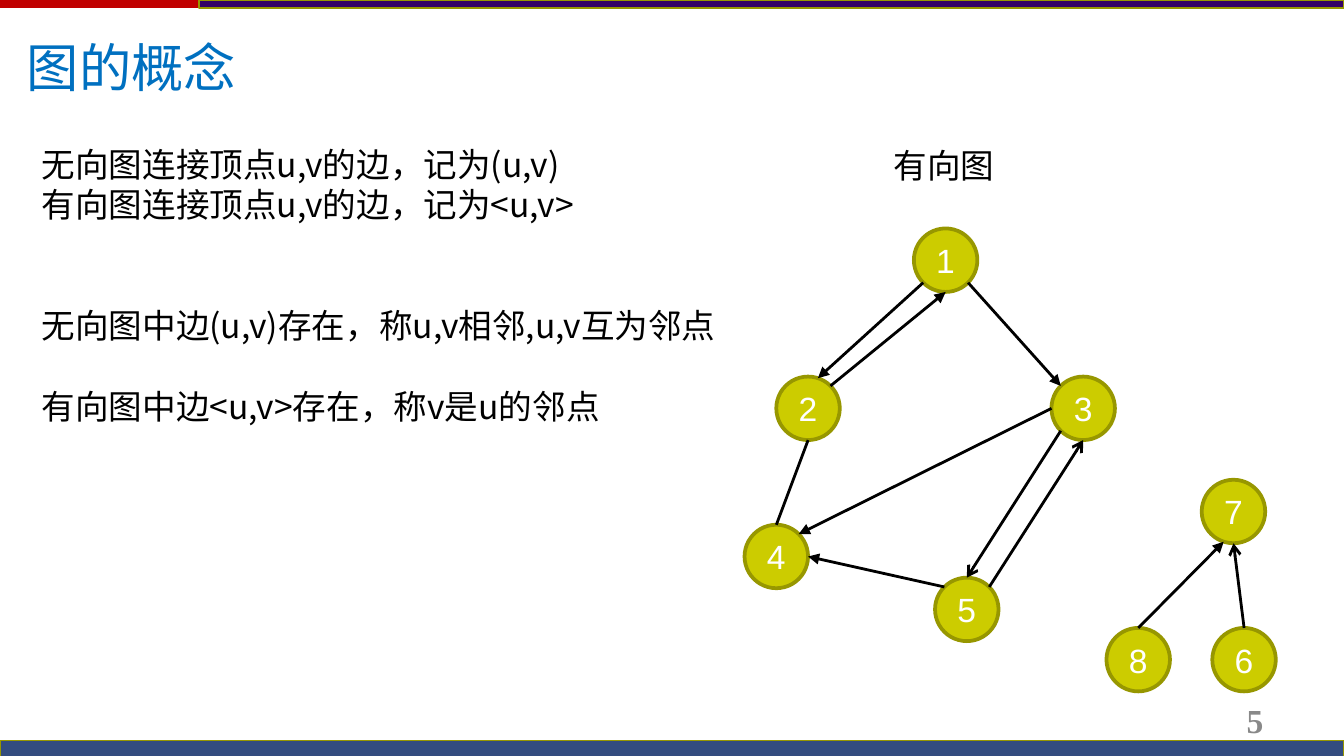
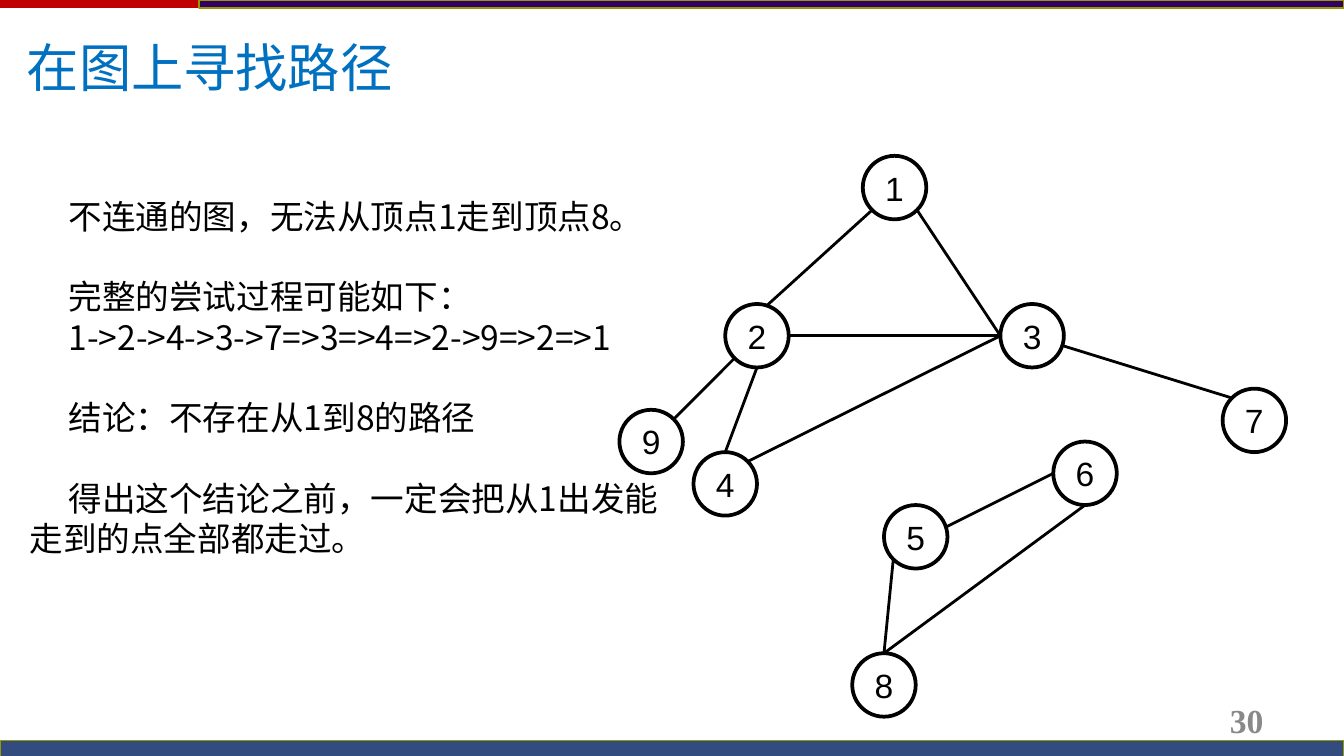
from math import cos, radians, sin

from lxml.etree import SubElement
from pptx import Presentation
from pptx.dml.color import RGBColor
from pptx.enum.shapes import MSO_CONNECTOR, MSO_SHAPE
from pptx.enum.text import MSO_ANCHOR, MSO_AUTO_SIZE, PP_ALIGN
from pptx.oxml.ns import qn
from pptx.util import Inches, Mm, Pt

# Formats and grid
CHINESE = "Noto Sans CJK SC"
TITLE = {"name": CHINESE, "size": Pt(28), "color": "0070C0"}
BODY = {"name": CHINESE, "size": Pt(18), "color": "000000"}
NUMBER = {"name": "Times New Roman", "size": Pt(18), "bold": True, "color": "898989"}
LABEL = {"name": "Arial", "size": Pt(18)}
LINE = 1.2 * 18  # height of one body line in points
CELL = Mm(2)  # the graphs are laid out on a 2 mm grid
NODE = 6  # node diameter in cells


def color(hex_string):
    return RGBColor.from_string(hex_string)


def write(paragraph, text, style, alignment=PP_ALIGN.LEFT, gap=0, indent=0):
    properties = paragraph._p.get_or_add_pPr()
    properties.set("marL", "0")
    properties.set("indent", str(Inches(indent)))
    SubElement(properties, qn("a:buNone"))
    paragraph.alignment = alignment
    paragraph.space_before = Pt(gap)
    run = paragraph.add_run()
    run.text = text
    for name, value in style.items():
        if name == "color":
            run.font.color.rgb = color(value)
        else:
            setattr(run.font, name, value)
    if style["name"] == CHINESE:
        paragraph.line_spacing = Pt(1.2 * style["size"].pt)
        SubElement(run._r.get_or_add_rPr(), qn("a:ea")).set("typeface", CHINESE)


# Content: nodes as (column, row) from node 1; edges as
# (tip node, angle, tail node, angle, arrowhead), angles clockwise from the top
PAGES = [
    {
        "title": "图的概念", "number": "5",
        "body": (0.21, 1.02, 5.23, 2.22), "anchor": MSO_ANCHOR.TOP, "indent": 0,
        "paragraphs": [  # (blank lines before, text)
            (0, "无向图连接顶点u,v的边，记为(u,v)"),
            (0, "有向图连接顶点u,v的边，记为<u,v>"),
            (2, "无向图中边(u,v)存在，称u,v相邻,u,v互为邻点"),
            (1, "有向图中边<u,v>存在，称v是u的邻点"),
        ],
        "caption": "有向图",
        "origin": (6.8, 1.7), "fill": "CCCC00", "line": "979700", "text": "FFFFFF",
        "nodes": {
            1: (0, 0), 2: (-13, 14), 3: (13, 14), 4: (-16, 28), 5: (2, 33),
            6: (28.2, 37.75), 7: (27.2, 23.75), 8: (18.2, 37.75),
        },
        "edges": [
            (2, 18, 1, 225, "triangle"), (1, 180, 2, 45, "triangle"),
            (3, 315, 1, 135, "triangle"), (4, 0, 2, 180, None),
            (4, 45, 3, 270, "triangle"), (4, 90, 5, 315, "triangle"),
            (5, 0, 3, 225, "arrow"), (3, 180, 5, 45, "arrow"),
            (7, 180, 6, 0, "arrow"), (7, 198, 8, 0, "triangle"),
        ],
    },
    {
        "title": "在图上寻找路径", "number": "30",
        "body": (0.12, 1.24, 4.96, 3.13), "anchor": MSO_ANCHOR.MIDDLE, "indent": 0.29,
        "paragraphs": [
            (0, "不连通的图，无法从顶点1走到顶点8。"),
            (1, "完整的尝试过程可能如下："),
            (0, "1->2->4->3->7=>3=>4=>2->9=>2=>1"),
            (1, "结论：不存在从1到8的路径"),
            (1, "得出这个结论之前，一定会把从1出发能走到的点全部都走过。"),
        ],
        "caption": None,
        "origin": (6.42, 1.16), "fill": "FFFFFF", "line": "000000", "text": "000000",
        "nodes": {
            1: (0, 0), 2: (-13, 14), 3: (13, 14), 4: (-16, 28), 5: (2, 33),
            6: (18, 27), 7: (34, 22), 8: (-1, 47), 9: (-23, 24),
        },
        "edges": [
            (2, 18, 1, 225, None), (3, 270, 1, 135, None), (3, 270, 2, 90, None),
            (4, 0, 2, 180, None), (4, 45, 3, 270, None), (7, 315, 3, 108, None),
            (9, 45, 2, 225, None), (8, 0, 5, 225, None), (8, 0, 6, 180, None),
            (6, 270, 5, 72, None),
        ],
    },
]

presentation = Presentation()
presentation.slide_width = Inches(10)
presentation.slide_height = Inches(5.625)
layout = presentation.slide_layouts[1]
slides = [presentation.slides.add_slide(layout) for page in PAGES]

# Shared layout: title place and colour bands
title = layout.placeholders[0]
title.left, title.top, title.width, title.height = map(Inches, (0.1, 0.21, 8.75, 0.74))
BANDS = [
    (0, 0, 10, 0.06, "C00000", None),
    (1.48, 0, 8.52, 0.06, "330066", None),
    (0, 5.51, 10, 0.12, "002060", 80),
]
for index, (left, top, width, height, fill, opacity) in enumerate(BANDS):
    band = slides[0].shapes.add_shape(
        MSO_SHAPE.RECTANGLE, *map(Inches, (left, top, width, height)))
    band.shadow.inherit = False
    band.fill.solid()
    band.fill.fore_color.rgb = color(fill)
    if index == 0:
        band.line.fill.background()
    else:
        band.line.color.rgb = color("979700")
        band.line.width = Pt(0)
    if opacity:
        solid = band.element.spPr.find(qn("a:solidFill"))
        SubElement(solid[0], qn("a:alpha")).set("val", str(opacity * 1000))
    band.element.nvSpPr.cNvPr.set("id", str(100 + index))
    layout.shapes.element.append(band.element)

for slide, page in zip(slides, PAGES):
    # Title
    frame = slide.shapes.title.text_frame
    frame.vertical_anchor = MSO_ANCHOR.TOP
    frame.auto_size = MSO_AUTO_SIZE.NONE
    write(frame.paragraphs[0], page["title"], TITLE)

    # Body text
    body = slide.placeholders[1]
    body.left, body.top, body.width, body.height = map(Inches, page["body"])
    frame = body.text_frame
    frame.vertical_anchor = page["anchor"]
    frame.auto_size = MSO_AUTO_SIZE.NONE
    for index, (blank_lines, text) in enumerate(page["paragraphs"]):
        paragraph = frame.add_paragraph() if index else frame.paragraphs[0]
        write(paragraph, text, BODY, gap=blank_lines * LINE, indent=page["indent"])

    # Page number
    frame = slide.shapes.add_textbox(*map(Inches, (7.17, 5.21, 2.33, 0.3))).text_frame
    frame.word_wrap = True
    frame.vertical_anchor = MSO_ANCHOR.MIDDLE
    write(frame.paragraphs[0], page["number"], NUMBER, PP_ALIGN.RIGHT)

    # Graph caption
    if page["caption"]:
        frame = slide.shapes.add_textbox(*map(Inches, (6.55, 1.03, 0.96, 0.4))).text_frame
        frame.word_wrap = False
        write(frame.paragraphs[0], page["caption"], BODY)

    # Graph nodes
    centers = {}
    origin_x, origin_y = map(Inches, page["origin"])
    for number, (column, row) in page["nodes"].items():
        left, top = int(origin_x + column * CELL), int(origin_y + row * CELL)
        centers[number] = (left + NODE * CELL / 2, top + NODE * CELL / 2)
        node = slide.shapes.add_shape(MSO_SHAPE.OVAL, left, top, NODE * CELL, NODE * CELL)
        node.shadow.inherit = False
        node.fill.solid()
        node.fill.fore_color.rgb = color(page["fill"])
        node.line.color.rgb = color(page["line"])
        node.line.width = Pt(2)
        frame = node.text_frame
        frame.word_wrap = False
        frame.vertical_anchor = MSO_ANCHOR.MIDDLE
        for margin in ("margin_left", "margin_right", "margin_top", "margin_bottom"):
            setattr(frame, margin, 0)
        label_style = {**LABEL, "color": page["text"]}
        write(frame.paragraphs[0], str(number), label_style, PP_ALIGN.CENTER)

    # Graph edges, from rim to rim
    for tip, tip_angle, tail, tail_angle, arrowhead in page["edges"]:
        ends = []
        for number, angle in ((tip, tip_angle), (tail, tail_angle)):
            x, y = centers[number]
            ends.append(int(x + NODE * CELL / 2 * sin(radians(angle))))
            ends.append(int(y - NODE * CELL / 2 * cos(radians(angle))))
        edge = slide.shapes.add_connector(MSO_CONNECTOR.STRAIGHT, *ends)
        edge.line.color.rgb = color("000000")
        edge.line.width = Pt(1.5)
        if arrowhead:
            outline = edge.line._get_or_add_ln()
            SubElement(outline, qn("a:headEnd")).set("type", arrowhead)
        SubElement(edge.element.spPr, qn("a:effectLst"))

presentation.save("out.pptx")
